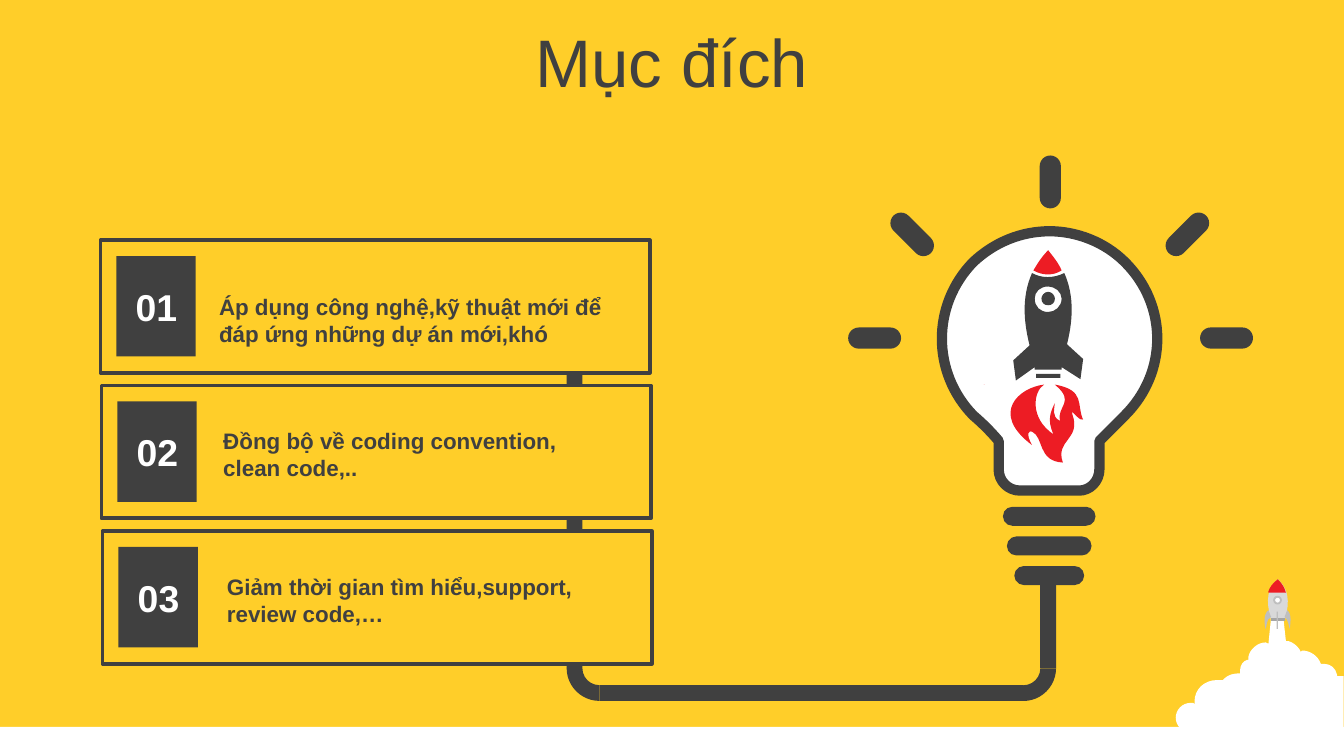
from collections import namedtuple

from lxml import etree
from pptx import Presentation
from pptx import util as u
from pptx.dml.color import RGBColor
from pptx.enum import shapes, text
from pptx.oxml import ns

YELLOW = RGBColor(0xFF, 0xCE, 0x29)
DARK = RGBColor(0x40, 0x40, 0x40)
WHITE = RGBColor(0xFF, 0xFF, 0xFF)
RED = RGBColor(0xED, 0x1C, 0x24)
PALE_GREY = RGBColor(0xD9, 0xD9, 0xD9)
MID_GREY = RGBColor(0xBF, 0xBF, 0xBF)
DEEP_GREY = RGBColor(0xA6, 0xA6, 0xA6)

OUTLINE_UNIT = u.Cm(2.54) / 100
KIND = shapes.MSO_SHAPE
Box = namedtuple("Box", "left top width height")

CLOUD = """M 71 28 L 80 28 82 46 84 46 C 87 47 90 49 92 52 L 93 54 94 53
C 100 53 106 57 108 63 L 109 63 C 109 63 110 63 111 63 115 63 119 66 120 71
L 120 72 123 72 125 72 125 129 123 129 C 119 129 115 128 112 126 L 111 125 110 126
C 108 127 106 128 103 128 100 128 98 126 96 124 L 94 123 94 124
C 92 127 89 128 85 128 82 128 79 127 77 125 L 76 124 74 125
C 70 128 65 130 59 130 48 130 42 125 38 120 36 122 32 123 29 122
25 121 19 119 18 114 L 18 112 17 113 C 16 114 14 114 11 114
5 114 0 109 0 103 0 97 5 92 11 92 12 92 13 92 13 92 L 14 93 14 91
C 14 82 21 75 31 75 32 75 33 75 34 75 L 35 75 36 74
C 39 71 43 70 48 70 L 48 70 48 68 C 48 68 48 68 48 67 48 64 50 61 53 60
L 54 60 54 58 C 55 52 61 47 67 47 L 69 48"""
SMALL_BODY = "M 71 31 C 69 22 65 9 76 0 87 10 83 23 81 31"
SMALL_BASE = "M 71 29 L 81 29 81 31 71 31"
SMALL_NOSE = "M 76 0 C 79 3 81 6 82 10 L 82 10 69 10 69 9 C 70 6 72 3 76 0"
SMALL_FINS = (
    "M 69 23 L 71 28 C 67 30 68 35 67 37 66 34 65 26 69 23",
    "M 83 23 L 81 28 C 84 30 84 35 85 37 85 34 87 26 83 23",
)
BULB_GLASS = """M 150 56 C 170 56 191 64 206 79 238 111 238 161 206 193
L 187 212 187 233 C 187 242 180 249 172 249 L 150 249 150 249 149 249 128 249
C 119 249 112 242 112 233 L 112 212 C 106 205 100 199 93 193
62 161 62 111 93 79 109 64 129 56 150 56"""
ROCKET_HULL = """M 39 92 L 57 92 C 57 93 57 94 57 95 L 39 95
M 48 31 C 51 31 53 34 53 36 53 39 51 41 48 41 45 41 43 39 43 36
43 34 45 31 48 31 M 48 27 C 42 27 38 31 38 36 38 42 42 46 48 46
53 46 58 42 58 36 58 31 53 27 48 27
M 36 17 C 43 21 52 21 60 17 68 35 66 54 62 70
L 74 81 72 96 58 87 58 89 38 89 C 38 88 38 88 38 87
L 24 97 22 82 34 71 34 71 34 70 C 30 54 28 35 36 17"""
ROCKET_NOSE = "M 48 0 C 52 5 56 10 58 15 52 19 44 19 37 15 40 10 43 5 48 0"
ROCKET_FLAME = """M 45 100 C 37 105 34 125 52 137 47 126 50 120 53 114
53 117 50 124 57 127 54 116 69 113 53 100 76 104 69 115 74 126
70 127 65 117 66 122 73 141 53 141 59 158 40 157 45 139 36 135
34 134 31 136 36 145 4 121 27 102 45 100 M 0 100 L 1 100 0 100"""


def set_all(target, values):
    for name, value in values.items():
        setattr(target, name, value)


def paint(shape, fill, line=None, weight=1):
    shape.shadow.inherit = False
    shape.fill.solid()
    shape.fill.fore_color.rgb = fill
    if line is None:
        shape.line.fill.background()
    else:
        shape.line.color.rgb = line
        shape.line.width = u.Pt(weight)
    return shape


def add_part(page, box, kind, place, fill, line=None, weight=1, turn=0, adjust=()):
    left, top, width, height = place
    shape = page.shapes.add_shape(kind, u.Cm(box.left + left), u.Cm(box.top + top),
                                  u.Cm(width), u.Cm(height))
    shape.rotation = turn
    for index, value in enumerate(adjust):
        shape.adjustments[index] = value
    return paint(shape, fill, line, weight)


def trace(outline):
    contours, commands, numbers, command = [], [], [], "M"
    for token in outline.split():
        if token.isalpha():
            command = token
            continue
        numbers.append(int(token))
        if len(numbers) == 2:
            if command == "M":
                contours.append([])
            contours[-1].append(tuple(numbers))
            commands.append(command)
            numbers = []
    return contours, commands


def bend_lines(geometry, commands):
    nodes = [node for node in geometry if node.tag != ns.qn("a:close")]
    curved = [node for node, command in zip(nodes, commands) if command == "C"]
    for trio in zip(curved[::3], curved[1::3], curved[2::3]):
        curve = etree.Element(ns.qn("a:cubicBezTo"))
        trio[0].addprevious(curve)
        for node in trio:
            curve.append(node[0])
            geometry.remove(node)


def add_outline(page, box, outline, fill, line=None, weight=1):
    contours, commands = trace(outline)
    builder = page.shapes.build_freeform(*contours[0][0], scale=OUTLINE_UNIT)
    for index, contour in enumerate(contours):
        if index:
            builder.move_to(*contour[0])
        builder.add_line_segments(contour[1:], close=True)
    shape = builder.convert_to_shape(u.Cm(box.left), u.Cm(box.top))
    bend_lines(next(shape.element.iter(ns.qn("a:path"))), commands)
    return paint(shape, fill, line, weight)


def add_text(page, box, words, color, font, frame, para_format):
    holder = page.shapes.add_textbox(*(u.Cm(length) for length in box))
    set_all(holder.text_frame, frame)
    para = holder.text_frame.paragraphs[0]
    set_all(para, para_format)
    span = para.add_run()
    span.text = words
    set_all(span.font, {"name": "Arial", **font})
    span.font.color.rgb = color


def add_title(page, box, words):
    add_text(page, box, words, DARK, {"size": u.Pt(36)},
             {"word_wrap": True, "vertical_anchor": text.MSO_ANCHOR.MIDDLE},
             {"alignment": text.PP_ALIGN.CENTER, "space_before": u.Pt(7)})


def add_launch(page, box):
    add_outline(page, box, CLOUD, WHITE)
    add_outline(page, box, SMALL_BODY, PALE_GREY)
    add_outline(page, box, SMALL_BASE, DEEP_GREY)
    add_outline(page, box, SMALL_NOSE, RED)
    add_part(page, box, KIND.OVAL, (1.86, 0.33, 0.13, 0.13), WHITE, MID_GREY)
    add_part(page, box, KIND.RECTANGLE, (1.91, 0.61, 0.02, 0.33), MID_GREY)
    for fin in SMALL_FINS:
        add_outline(page, box, fin, MID_GREY)


def add_cable(page, box):
    pipe, bend = 0.3, 1.24
    far, low = box.width - bend, box.height - bend
    half = bend / 2
    for place in ((0, 0, pipe, low + half),
                  (half, box.height - pipe, box.width - bend, pipe),
                  (box.width - pipe, 6.12, pipe, low + half - 6.12)):
        add_part(page, box, KIND.RECTANGLE, place, DARK)
    for left, turn in ((0, 0), (far, 270)):
        add_part(page, box, KIND.BLOCK_ARC, (left, low, bend, bend), DARK,
                 turn=turn, adjust=(54.32, 108.17, 0.24))


def add_card(page, box, number, words, indent, drop):
    add_part(page, box, KIND.RECTANGLE, (0, 0, box.width, box.height), YELLOW, DARK, 2)
    add_part(page, box, KIND.RECTANGLE, (0.3, 0.3, 1.5, 1.9), DARK)
    grow = {"auto_size": text.MSO_AUTO_SIZE.SHAPE_TO_FIT_TEXT}
    add_text(page, Box(box.left + indent, box.top + drop, 8, 1.27), words, DARK,
             {"size": u.Pt(12), "bold": True}, {"word_wrap": True, **grow}, {})
    add_text(page, Box(box.left + 0.4, box.top + 0.7, 1.3, 1.12), number, WHITE,
             {"size": u.Pt(20), "bold": True}, {"word_wrap": False, **grow},
             {"alignment": text.PP_ALIGN.RIGHT})


def add_bulb(page, box):
    add_outline(page, box, BULB_GLASS, WHITE, DARK, 5.5)
    for row, width in enumerate((1.75, 1.6, 1.32)):
        add_part(page, box, KIND.ROUNDED_RECTANGLE,
                 (3.8 - width / 2, 6.63 + 0.56 * row, width, 0.36), DARK, adjust=(0.5,))
    thick, length = 0.4, 1
    for across, down, turn in ((6.41, 1.48, 45), (1.21, 1.48, 315), (3.82, 0.49, 0),
                               (7.15, 3.44, 90), (0.5, 3.44, 270)):
        add_part(page, box, KIND.ROUNDED_RECTANGLE,
                 (across - thick / 2, down - length / 2, thick, length),
                 DARK, turn=turn, adjust=(0.5,))


def add_rocket(page, box):
    add_outline(page, box, ROCKET_HULL, DARK)
    add_outline(page, box, ROCKET_NOSE, RED)
    add_outline(page, box, ROCKET_FLAME, RED)


def main():
    deck = Presentation()
    set_all(deck, {"slide_width": u.Cm(25.4), "slide_height": u.Cm(14.29)})
    page = deck.slides.add_slide(deck.slide_layouts[6])
    page.background.fill.solid()
    page.background.fill.fore_color.rgb = YELLOW
    ground = Box(0, 13.74, 25.4, 0.55)
    add_part(page, ground, KIND.RECTANGLE, (0, 0, ground.width, ground.height), WHITE)
    add_launch(page, Box(22.22, 10.95, 3.18, 3.3))
    add_title(page, Box(0, 0.34, 25.4, 1.6), "Mục đích")
    add_cable(page, Box(10.71, 4.92, 9.25, 8.33))
    cards = (
        ("Áp dụng công nghệ,kỹ thuật mới để đáp ứng những dự án mới,khó", 1.99, 0.87),
        ("Đồng bộ về coding convention, clean code,..", 2.05, 0.66),
        ("Giảm thời gian tìm hiểu,support, review code,…", 2.1, 0.67),
    )
    for order, (words, indent, drop) in enumerate(cards):
        box = Box(1.9 + 0.02 * order, 4.54 + 2.75 * order, 10.38, 2.51)
        add_card(page, box, f"{order + 1:02}", words, indent, drop)
    add_bulb(page, Box(16.03, 2.95, 7.67, 8.1))
    add_rocket(page, Box(18.59, 4.73, 1.88, 4.01))
    deck.save("out.pptx")


if __name__ == "__main__":
    main()
